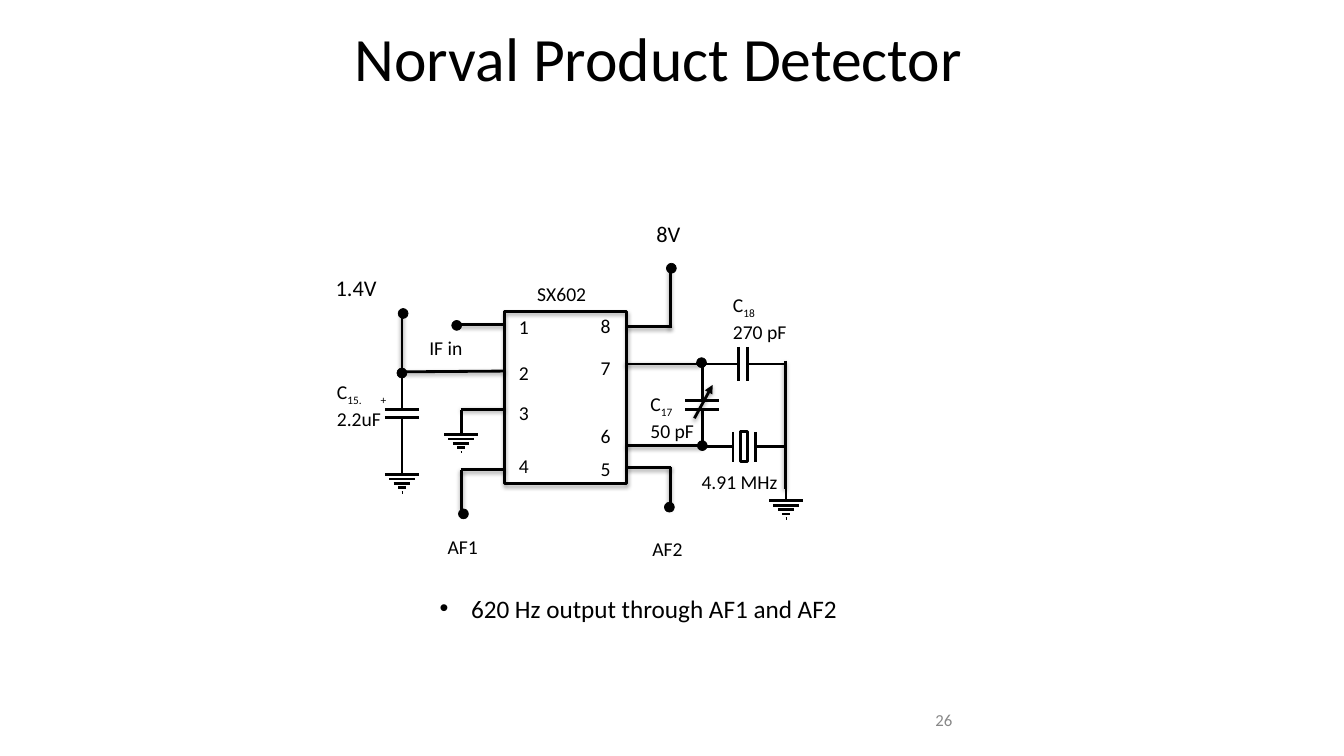
import pptx
import pptx.dml.color
import pptx.enum.shapes
import pptx.enum.text
import pptx.oxml.ns
import pptx.util
from lxml import etree

Cm, Pt, qn = pptx.util.Cm, pptx.util.Pt, pptx.oxml.ns.qn
SHAPE = pptx.enum.shapes.MSO_SHAPE
ALIGN = pptx.enum.text.PP_ALIGN
ANCHOR = pptx.enum.text.MSO_ANCHOR
COLORS = {"ink": "000000", "muted": "888888"}
FONT = "Calibri"


def rgb(name):
    return pptx.dml.color.RGBColor.from_string(COLORS[name])


def write(tf, text, size=14, color="ink", align=ALIGN.LEFT, anchor=ANCHOR.TOP,
          inset=0.13, wrap=True, bullet=None, tab=None):
    """Fill a text frame; in each line, what follows "_" is subscript."""
    tf.word_wrap = wrap
    tf.auto_size = pptx.enum.text.MSO_AUTO_SIZE.NONE
    tf.vertical_anchor = anchor
    tf.margin_left = tf.margin_right = tf.margin_top = tf.margin_bottom = Cm(inset)
    for i, line in enumerate(text.split("\n")):
        p = tf.add_paragraph() if i else tf.paragraphs[0]
        p.alignment = align
        p.space_before = Pt(0)
        pPr = p._p.get_or_add_pPr()
        if bullet:
            pPr.set("marL", str(Cm(bullet)))
            pPr.set("indent", str(-Cm(bullet)))
            etree.SubElement(pPr, qn("a:buChar")).set("char", "•")
        if tab and i == 0:
            tabs = etree.SubElement(pPr, qn("a:tabLst"))
            etree.SubElement(tabs, qn("a:tab"), pos=str(Cm(tab)), algn="l")
        for j, part in enumerate(line.split("_")):
            r = p.add_run()
            r.text = part
            r.font.name, r.font.size = FONT, Pt(size)
            r.font.color.rgb = rgb(color)
            if j:
                r.font._element.set("baseline", "-25000")


def place(sp, x, y, w, h):
    sp.left, sp.top, sp.width, sp.height = Cm(x), Cm(y), Cm(w), Cm(h)


def set_effects(sp, shadow):
    """Give the element its own effect list, empty or with a soft shadow."""
    effects = etree.SubElement(sp._element.spPr, qn("a:effectLst"))
    if shadow:
        outer = etree.SubElement(effects, qn("a:outerShdw"), blurRad=str(Pt(3)),
                                 dist=str(Pt(1.6)), dir="5400000", rotWithShape="0")
        clr = etree.SubElement(outer, qn("a:srgbClr"), val=COLORS["ink"])
        etree.SubElement(clr, qn("a:alpha"), val="38000")


class Circuit:
    """Drawing tools for circuit parts, measured in cm from a corner."""

    def __init__(self, slide, left, top):
        self.shapes, self.left, self.top = slide.shapes, left, top

    def label(self, x, y, text, w=1.93, h=0.86, **fmt):
        sp = self.shapes.add_textbox(Cm(self.left + x), Cm(self.top + y), Cm(w), Cm(h))
        write(sp.text_frame, text, **fmt)

    def wire(self, x1, y1, x2, y2, shadow=True, arrow=False):
        sp = self.shapes.add_connector(
            pptx.enum.shapes.MSO_CONNECTOR.STRAIGHT, Cm(self.left + x1),
            Cm(self.top + y1), Cm(self.left + x2), Cm(self.top + y2))
        sp.line.color.rgb, sp.line.width = rgb("ink"), Pt(2)
        if arrow:
            etree.SubElement(sp.line._get_or_add_ln(), qn("a:tailEnd"), type="triangle")
        set_effects(sp, shadow)

    def shape(self, kind, cx, cy, w, h, filled=False, line=2, shadow=False):
        sp = self.shapes.add_shape(kind, Cm(self.left + cx - w / 2),
                                   Cm(self.top + cy - h / 2), Cm(w), Cm(h))
        if filled:
            sp.fill.solid()
            sp.fill.fore_color.rgb = rgb("ink")
        else:
            sp.fill.background()
        sp.line.color.rgb, sp.line.width = rgb("ink"), Pt(line)
        set_effects(sp, shadow)

    def dot(self, cx, cy):
        self.shape(SHAPE.OVAL, cx, cy, 0.25, 0.25, filled=True, line=0.5)

    def plates(self, cx, cy, gap=0.11, lead=0.94, half=0.43, vertical=False):
        """Two facing plates with a lead on each side."""
        for side in (-1, 1):
            near, far = side * gap, side * (gap + lead)
            for a1, b1, a2, b2 in ((near, 0, far, 0), (near, -half, near, half)):
                if vertical:
                    a1, b1, a2, b2 = b1, a1, b2, a2
                self.wire(cx + a1, cy + b1, cx + a2, cy + b2, shadow=False)

    def ground(self, cx, y):
        self.wire(cx, y - 0.63, cx, y, shadow=False)
        for i, half in enumerate((0.43, 0.32, 0.21, 0.1, 0.01)):
            bar = y + 0.11 * i
            self.wire(cx - half, bar, cx + half, bar, shadow=False)


def draw_detector(slide, left, top):
    c = Circuit(slide, left, top)

    # Chip and its pins
    c.label(5.24, 1.71, "SX602", w=1.27, h=0.61, inset=0, wrap=False)
    c.shape(SHAPE.RECTANGLE, 5.96, 4.62, 3.07, 4.34, shadow=True)
    for pin, y in enumerate((2.4, 3.57, 4.58, 5.9), 1):
        c.label(4.65, y, str(pin))
    for pin, y in zip((8, 7, 6, 5), (2.37, 3.44, 5.14, 5.98)):
        c.label(5.29, y, str(pin), align=ALIGN.RIGHT)

    # Wires
    for ends in ((3.28, 2.78, 4.4, 2.78), (1.81, 3.97, 4.43, 3.95),
                 (3.31, 4.91, 4.43, 4.91), (3.31, 6.44, 4.43, 6.44),
                 (3.33, 6.44, 3.33, 7.45), (1.83, 2.47, 1.83, 4),
                 (7.5, 2.83, 8.62, 2.83), (8.59, 1.33, 8.59, 2.86),
                 (7.45, 3.77, 9.35, 3.77), (7.47, 5.83, 9.4, 5.83),
                 (7.5, 6.39, 8.62, 6.39), (8.59, 6.36, 8.59, 7.4),
                 (11.49, 3.69, 11.49, 6.92)):
        c.wire(*ends)

    # Capacitors, with the arrow of the variable one, and crystal
    c.plates(1.83, 5.02, vertical=True)
    c.plates(9.4, 4.81, vertical=True)
    c.wire(9.2, 5.14, 9.66, 4.3, arrow=True)
    c.plates(10.43, 3.77)
    c.plates(10.45, 5.86, gap=0.28, lead=0.75, half=0.38)
    c.shape(SHAPE.RECTANGLE, 10.45, 5.86, 0.19, 0.76)

    # Grounds
    for x, y in ((1.83, 6.56), (3.32, 5.55), (11.51, 7.22)):
        c.ground(x, y)

    # Terminals and junctions
    for x, y in ((8.62, 1.36), (9.38, 3.74), (8.57, 7.38), (3.38, 7.55),
                 (3.21, 2.8), (9.4, 5.83), (1.86, 2.5), (1.83, 4)):
        c.dot(x, y)

    # Labels
    c.label(8.11, 0.01, "8V", w=1, size=16)
    c.label(0.03, 1.38, "1.4V", w=1.6, size=16)
    c.label(0.06, 4.05, "C_15.\t+\n2.2uF", h=1.45, tab=1.1)
    c.label(7.96, 4.35, "C_17\n50 pF", h=1.45)
    c.label(10.04, 1.86, "C_18\n270 pF", h=1.45)
    for x, y, text in ((2.39, 2.93, "IF in"), (2.85, 7.96, "AF1"),
                       (8.01, 8.01, "AF2"), (9.25, 6.31, "4.91 MHz")):
        c.label(x, y, text, w=2.2)


def add_title(slide, *box):
    sp = slide.shapes.title
    place(sp, *box)
    write(sp.text_frame, "Norval Product Detector", size=44, align=ALIGN.CENTER, inset=0)


def add_note(slide, *box):
    sp = slide.placeholders[1]
    place(sp, *box)
    write(sp.text_frame, "620 Hz output through AF1 and AF2", size=18, bullet=0.79)


def add_page_number(slide, *box):
    sp = slide.shapes.add_textbox(*map(Cm, box))
    write(sp.text_frame, "26", size=12, color="muted", align=ALIGN.RIGHT,
          anchor=ANCHOR.MIDDLE)


def main():
    prs = pptx.Presentation()
    prs.slide_width, prs.slide_height = Cm(33.87), Cm(19.05)
    slide = prs.slides.add_slide(prs.slide_layouts[1])
    add_title(slide, 1.3, 0.51, 30.6, 1.88)
    add_note(slide, 10.95, 14.81, 11.89, 1.02)
    draw_detector(slide, 8.3, 5.4)
    add_page_number(slide, 18.21, 17.78, 5.92, 0.74)
    prs.save("out.pptx")


if __name__ == "__main__":
    main()
